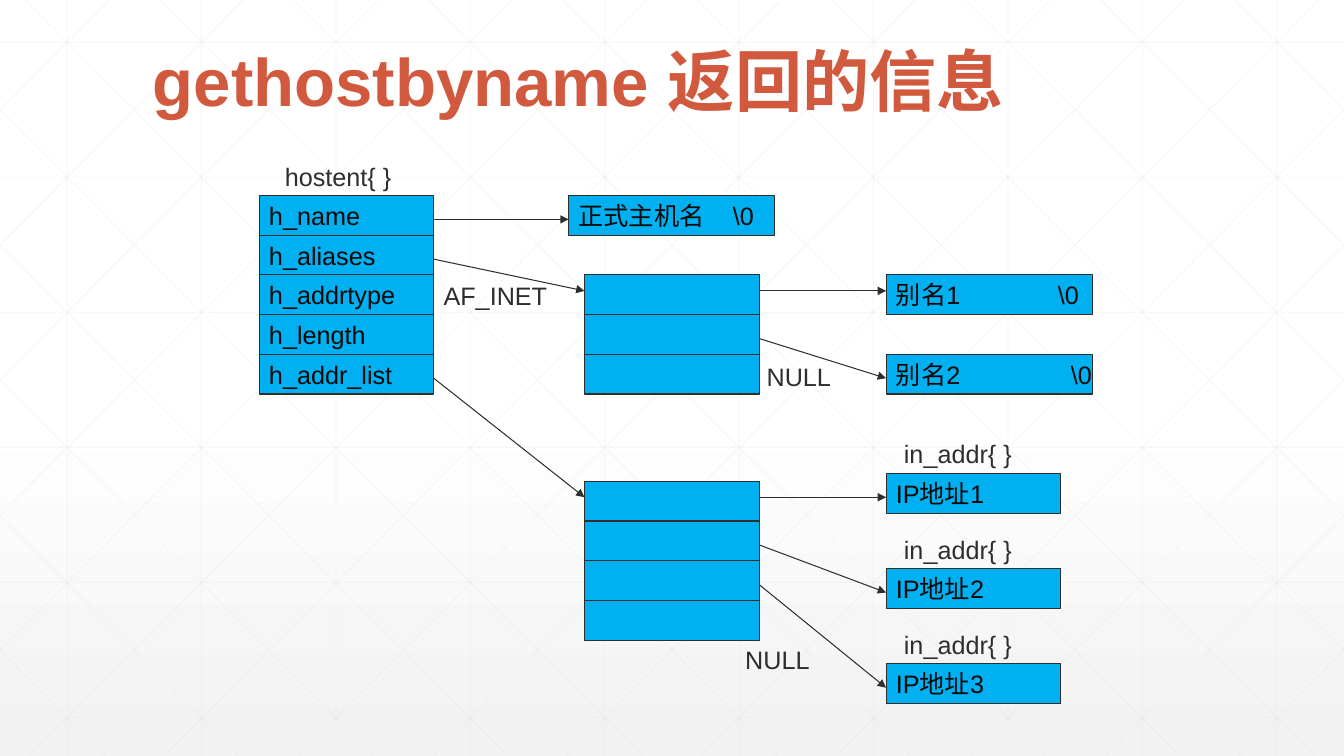
import pptx
import pptx.dml.color
import pptx.enum.shapes
import pptx.enum.text
import pptx.oxml
import pptx.oxml.ns
import pptx.util
from lxml import etree

Cm = pptx.util.Cm
Pt = pptx.util.Pt
RGBColor = pptx.dml.color.RGBColor
ANCHOR = pptx.enum.text.MSO_ANCHOR
AUTO_SIZE = pptx.enum.text.MSO_AUTO_SIZE
qn = pptx.oxml.ns.qn

WHITE = RGBColor(0xFF, 0xFF, 0xFF)
PALE_GREY = RGBColor(0xF2, 0xF2, 0xF2)
GRID_GREY = RGBColor(0xD9, 0xD9, 0xD9)
DARK = RGBColor(0x2D, 0x2E, 0x2D)
BLACK = RGBColor(0x08, 0x08, 0x08)
CYAN = RGBColor(0x00, 0xB0, 0xF0)
RUST = RGBColor(0xD1, 0x5A, 0x3E)

# All layout numbers are centimetres.
SLIDE_WIDTH, SLIDE_HEIGHT = 33.87, 19.05
GRID_PITCH = SLIDE_WIDTH / 10
DIAGONAL_RUN = 18.94
ROW = 1
CELL_WIDTH, WIDE_WIDTH = 4.4, 5.2
STRUCT_X, NAME_X, POINTER_X, TARGET_X = 6.53, 14.33, 14.73, 22.33
STRUCT_Y, ALIAS_Y, ADDRESS_Y = 4.93, 6.93, 12.13
IN_ADDR_Y, IN_ADDR_PITCH = 11.93, 2.4
UPPER, LOWER = 0.4, 0.6  # where arrows meet a row, measured from its top

BODY_FONT = {"name": "Arial", "size": Pt(18)}
TITLE_FONT = {"name": "Arial", "size": Pt(48), "bold": True}


def set_values(target, values):
    for name, value in values.items():
        setattr(target, name, value)


def write(box, text, font, color):
    para = box.text_frame.paragraphs[0]
    para.alignment = pptx.enum.text.PP_ALIGN.LEFT
    span = para.add_run()
    span.text = text
    set_values(span.font, font)
    span.font.color.rgb = color
    return para


def add_tab_stop(para, position):
    properties = para._p.get_or_add_pPr()
    tabs = etree.SubElement(properties, qn("a:tabLst"))
    etree.SubElement(tabs, qn("a:tab"), pos=str(Cm(position)), algn="l")


def add_line(page, start, end, color, width):
    line = page.shapes.add_connector(
        pptx.enum.shapes.MSO_CONNECTOR.STRAIGHT, *map(Cm, start + end))
    line.line.color.rgb = color
    line.line.width = Pt(width)
    etree.SubElement(line._element.spPr, qn("a:effectLst"))
    return line


def add_grid_line(page, start, end):
    line = add_line(page, start, end, GRID_GREY, 0.5)
    color = line._element.spPr.find(".//" + qn("a:srgbClr"))
    etree.SubElement(color, qn("a:alpha"), val="25000")


def add_arrow(page, start, end):
    arrow = add_line(page, start, end, DARK, 0.75)
    etree.SubElement(arrow.line._get_or_add_ln(), qn("a:tailEnd"), type="triangle")


def add_cell(page, left, top, width=CELL_WIDTH, text="", tab=None):
    cell = page.shapes.add_shape(
        pptx.enum.shapes.MSO_SHAPE.RECTANGLE,
        Cm(left), Cm(top), Cm(width), Cm(ROW))
    cell.shadow.inherit = False
    cell.fill.solid()
    cell.fill.fore_color.rgb = CYAN
    cell.line.color.rgb = DARK
    cell.line.width = Pt(0.75)
    if text:
        set_values(cell.text_frame, {
            "word_wrap": True, "margin_right": 0,
            "vertical_anchor": ANCHOR.MIDDLE})
        para = write(cell, text, BODY_FONT, BLACK)
        if tab:
            add_tab_stop(para, tab)


def add_stack(page, left, top, texts):
    for row, text in enumerate(texts):
        add_cell(page, left, top + row * ROW, text=text)


def add_label(page, left, top, width, text):
    label = page.shapes.add_textbox(Cm(left), Cm(top), Cm(width), Cm(1.02))
    set_values(label.text_frame, {
        "word_wrap": False, "auto_size": AUTO_SIZE.SHAPE_TO_FIT_TEXT})
    write(label, text, BODY_FONT, DARK)


def add_title(page, text):
    title = page.shapes.add_textbox(Cm(3.6), Cm(0), Cm(26.67), Cm(3.18))
    set_values(title.text_frame, {
        "word_wrap": True, "vertical_anchor": ANCHOR.BOTTOM})
    write(title, text, TITLE_FONT, RUST).line_spacing = 0.9


def paint_background(page):
    fill = page.background.fill
    fill.gradient()
    fill.gradient_angle = 270
    for stop, (position, color) in zip(
            fill.gradient_stops, ((0.53, WHITE), (1, PALE_GREY))):
        stop.position = position
        stop.color.rgb = color


def draw_grid(page):
    """Draw the faint mesh; diagonals are clipped to the slide and mirrored."""
    for column in range(10):
        x = (column + 0.5) * GRID_PITCH
        add_grid_line(page, (x, 0), (x, SLIDE_HEIGHT))
    for row in range(6):
        y = 1.07 + row * 3.4
        add_grid_line(page, (0, y), (SLIDE_WIDTH, y))
    slope = SLIDE_HEIGHT / DIAGONAL_RUN
    for index in range(-5, 10):
        origin = 0.64 + index * GRID_PITCH
        left = max(origin, 0)
        right = min(origin + DIAGONAL_RUN, SLIDE_WIDTH)
        top, bottom = (left - origin) * slope, (right - origin) * slope
        add_grid_line(page, (left, top), (right, bottom))
        add_grid_line(page, (SLIDE_WIDTH - left, top), (SLIDE_WIDTH - right, bottom))


def draw_hostent(page):
    add_label(page, 6.93, 3.93, 3.2, "hostent{ }")
    add_stack(page, STRUCT_X, STRUCT_Y,
              ["h_name", "h_aliases", "h_addrtype", "h_length", "h_addr_list"])
    add_label(page, 10.93, 6.93, 3.12, "AF_INET")
    add_cell(page, NAME_X, STRUCT_Y, WIDE_WIDTH, "正式主机名\t\\0", 3.89)
    for row, target in ((0, (NAME_X, STRUCT_Y + LOWER)),
                        (1, (POINTER_X, ALIAS_Y + UPPER)),
                        (4, (POINTER_X, ADDRESS_Y + UPPER))):
        add_arrow(page, (STRUCT_X + CELL_WIDTH, STRUCT_Y + row * ROW + LOWER), target)


def draw_aliases(page):
    add_stack(page, POINTER_X, ALIAS_Y, [""] * 3)
    add_label(page, 19.07, 8.97, 2.13, "NULL")
    for index, (tab, meet) in enumerate(((4.08, UPPER), (4.41, LOWER))):
        top = ALIAS_Y + index * 2 * ROW
        add_cell(page, TARGET_X, top, WIDE_WIDTH, f"别名{index + 1}\t\\0", tab)
        add_arrow(page, (POINTER_X + CELL_WIDTH, ALIAS_Y + index * ROW + meet),
                  (TARGET_X, top + meet))


def draw_addresses(page):
    add_stack(page, POINTER_X, ADDRESS_Y, [""] * 4)
    add_label(page, 18.53, 16.1, 2.13, "NULL")
    for index, meet in enumerate((UPPER, LOWER, LOWER)):
        top = IN_ADDR_Y + index * IN_ADDR_PITCH
        add_label(page, TARGET_X + 0.2, top - ROW, 3.23, "in_addr{ }")
        add_cell(page, TARGET_X, top, text=f"IP地址{index + 1}")
        add_arrow(page, (POINTER_X + CELL_WIDTH, ADDRESS_Y + index * ROW + meet),
                  (TARGET_X, top + LOWER))


def main():
    deck = pptx.Presentation()
    deck.slide_width, deck.slide_height = Cm(SLIDE_WIDTH), Cm(SLIDE_HEIGHT)
    page = deck.slides.add_slide(deck.slide_layouts[6])
    paint_background(page)
    draw_grid(page)
    add_title(page, "gethostbyname 返回的信息")
    draw_hostent(page)
    draw_aliases(page)
    draw_addresses(page)
    deck.save("out.pptx")


if __name__ == "__main__":
    main()
